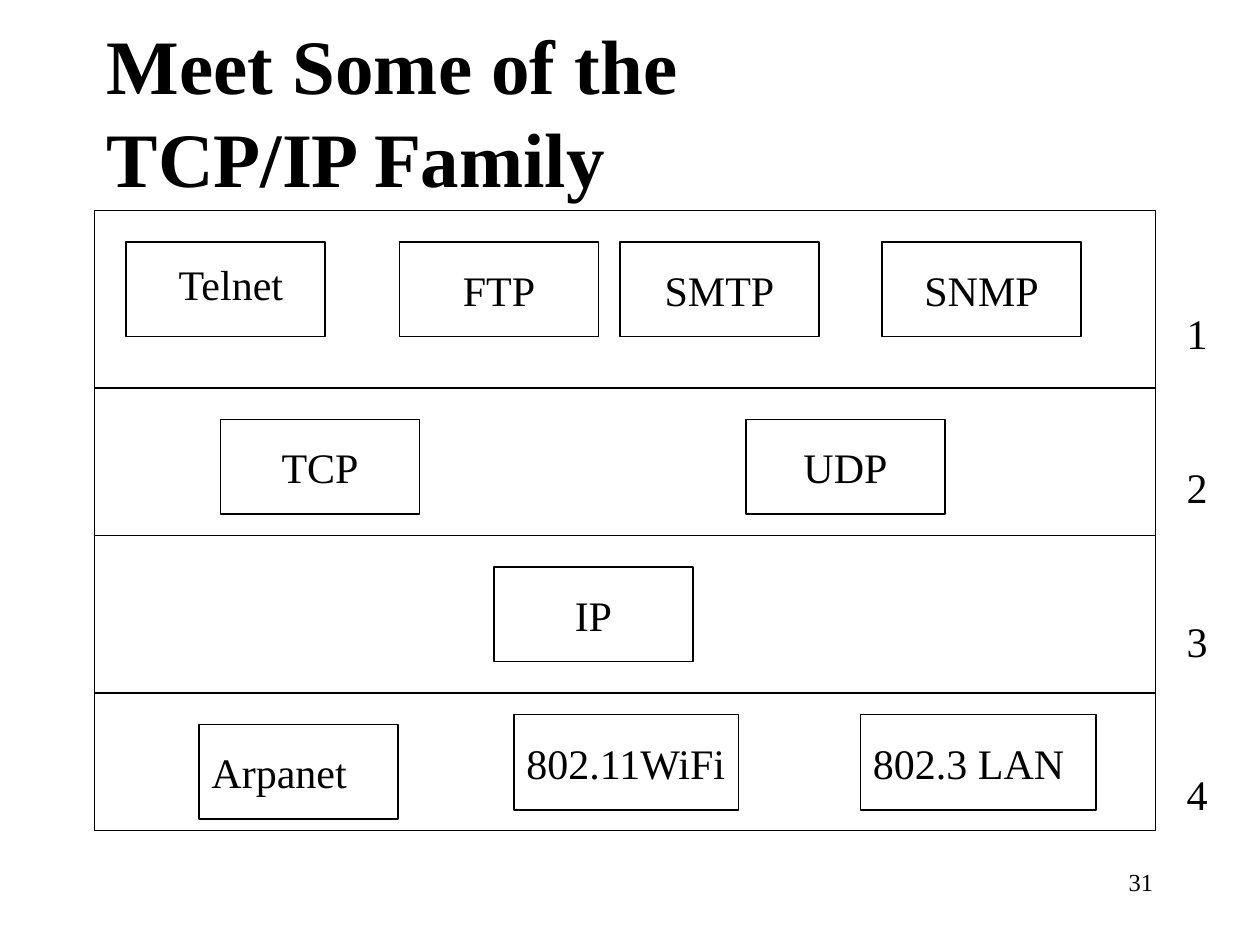
from lxml import etree
from pptx import Presentation
from pptx.dml.color import RGBColor
from pptx.enum.shapes import MSO_CONNECTOR, MSO_SHAPE
from pptx.enum.text import MSO_ANCHOR, PP_ALIGN
from pptx.oxml.ns import qn
from pptx.util import Inches, Pt

RECTANGLE = MSO_SHAPE.RECTANGLE
STRAIGHT = MSO_CONNECTOR.STRAIGHT
TOP, MIDDLE, BOTTOM = MSO_ANCHOR.TOP, MSO_ANCHOR.MIDDLE, MSO_ANCHOR.BOTTOM
LEFT, CENTER, RIGHT = PP_ALIGN.LEFT, PP_ALIGN.CENTER, PP_ALIGN.RIGHT
BLACK, WHITE = "000000", "FFFFFF"


def write(shape, lines, anchor=TOP, align=LEFT, wrap=False, gap=0, **font_format):
    """Fill a shape with one paragraph per line, with gap points between them."""
    frame = shape.text_frame
    frame.word_wrap = wrap
    frame.vertical_anchor = anchor
    for index, line in enumerate(lines):
        paragraph = frame.paragraphs[0] if index == 0 else frame.add_paragraph()
        paragraph.text = line
        paragraph.alignment = align
        if index and gap:
            paragraph.space_before = Pt(gap)
        font = paragraph.font
        font.color.rgb = RGBColor.from_string(BLACK)
        values = {"name": "Times New Roman", "size": Pt(24), **font_format}
        for attribute, value in values.items():
            setattr(font, attribute, value)


def add_box(left, top, width, height):
    box = slide.shapes.add_shape(
        RECTANGLE, Inches(left), Inches(top), Inches(width), Inches(height))
    box.shadow.inherit = False
    box.fill.solid()
    box.fill.fore_color.rgb = RGBColor.from_string(WHITE)
    box.line.color.rgb = RGBColor.from_string(BLACK)
    box.line.width = Pt(0.75)
    return box


presentation = Presentation()
presentation.slide_width = Inches(10)
presentation.slide_height = Inches(7.5)
slide = presentation.slides.add_slide(presentation.slide_layouts[6])

# Layer stack and its dividers
stack_left, stack_width = 0.75, 8.42
add_box(stack_left, 1.67, stack_width, 4.92)
for y in (3.08, 4.25, 5.5):
    divider = slide.shapes.add_connector(
        STRAIGHT, Inches(stack_left), Inches(y),
        Inches(stack_left + stack_width), Inches(y))
    divider.line.color.rgb = RGBColor.from_string(BLACK)
    divider.line.width = Pt(0.75)
    etree.SubElement(divider.element.spPr, qn("a:effectLst"))

# Protocols: name, left, top, width, height, alignment
protocols = [
    ("FTP", 3.17, 1.92, 1.58, 0.75, CENTER),
    ("SMTP", 4.92, 1.92, 1.58, 0.75, CENTER),
    ("SNMP", 7, 1.92, 1.58, 0.75, CENTER),
    ("TCP", 1.75, 3.33, 1.58, 0.75, CENTER),
    ("UDP", 5.92, 3.33, 1.58, 0.75, CENTER),
    ("IP", 3.92, 4.5, 1.58, 0.75, CENTER),
    ("Arpanet", 1.58, 5.75, 1.58, 0.75, LEFT),
    ("802.11WiFi", 4.08, 5.67, 1.78, 0.76, LEFT),
    ("802.3 LAN", 6.83, 5.67, 1.87, 0.76, LEFT),
]
for protocol, left, top, width, height, align in protocols:
    write(add_box(left, top, width, height), [protocol], MIDDLE, align,
          wrap=align == LEFT)
add_box(1, 1.92, 1.58, 0.75)

# Free text: lines, left, top, width, height, format
texts = [
    (["Telnet"], 1.32, 2, 1.05, 0.5, {}),
    (["Meet Some of the\vTCP/IP Family"], 0.75, 0.25, 8.5, 1.25,
     {"anchor": MIDDLE, "wrap": True, "size": Pt(44), "bold": True}),
    (["1", "2", "3", "4"], 9.32, 2.05, 0.36, 4.5, {"anchor": BOTTOM, "gap": 59}),
    (["31"], 7.17, 6.83, 2.08, 0.5,
     {"align": RIGHT, "wrap": True, "size": Pt(14)}),
]
for lines, left, top, width, height, text_format in texts:
    text_box = slide.shapes.add_textbox(
        Inches(left), Inches(top), Inches(width), Inches(height))
    write(text_box, lines, **text_format)

presentation.save("out.pptx")
